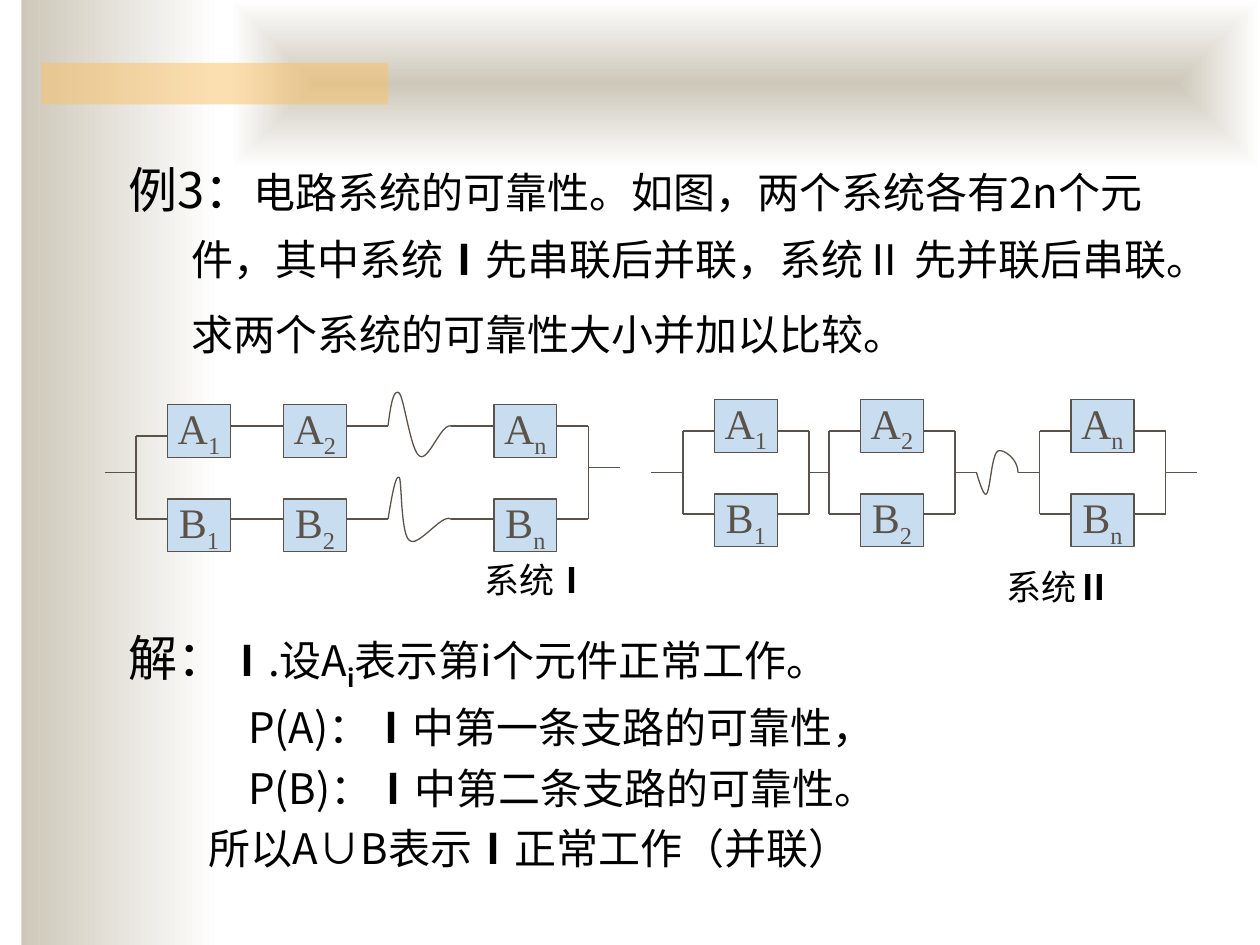
from lxml import etree
from pptx import Presentation
from pptx.dml.color import RGBColor
from pptx.enum.shapes import MSO_CONNECTOR as Connector, MSO_SHAPE as Preset
from pptx.enum.text import MSO_ANCHOR as Anchor, PP_ALIGN as Align
from pptx.oxml import parse_xml
from pptx.oxml.ns import nsdecls, qn
from pptx.util import Inches, Pt

SANS, SERIF = "Noto Sans CJK SC", "Times New Roman"
BLACK, INK, SKY, SAND, AMBER = "000000", "5B5249", "C9DDF1", "CEC8BA", "FAC164"
BOX_WIDTH, BOX_HEIGHT, ROW_GAP = 0.5, 0.42, 0.75


def color(hex_string):
    return RGBColor.from_string(hex_string)


def add_block(shapes, left, top, width, height):
    block = shapes.add_shape(Preset.RECTANGLE, Inches(left), Inches(top),
                             Inches(width), Inches(height))
    block.shadow.inherit = False
    block.line.fill.background()
    return block


def add_gradient(shapes, area, from_center=False):
    block = add_block(shapes, *area)
    block.fill.gradient()
    block.fill.gradient_angle = 0
    for stop, position, shade in zip(block.fill.gradient_stops, (0, 1), (SAND, "FFFFFF")):
        stop.position = position
        stop.color.rgb = color(shade)
    if from_center:
        gradient = block._element.spPr.find(qn("a:gradFill"))
        linear = gradient.find(qn("a:lin"))
        gradient.replace(linear, parse_xml(
            f'<a:path {nsdecls("a")} path="shape">'
            '<a:fillToRect l="50000" t="50000" r="50000" b="50000"/></a:path>'))


def add_bar(shapes, area):
    bar = add_block(shapes, *area)
    bar.fill.solid()
    bar.fill.fore_color.rgb = color(AMBER)
    tint = bar._element.spPr.find(qn("a:solidFill"))[0]
    etree.SubElement(tint, qn("a:alpha")).set("val", "50000")


def add_span(para, text, size, font=SANS, bold=False, sub=False, ink=BLACK):
    span = para.add_run()
    span.text = text
    span.font.size = Pt(size)
    span.font.name = font
    span.font.bold = bold
    span.font.color.rgb = color(ink)
    properties = span._r.get_or_add_rPr()
    etree.SubElement(properties, qn("a:ea")).set("typeface", SANS)
    if sub:
        properties.set("baseline", "-25000")


def add_text(shapes, area, paragraphs, wrap=True):
    """Each paragraph is (left indent, first-line indent, spacing, space before, spans)."""
    frame = shapes.add_textbox(*(Inches(value) for value in area)).text_frame
    frame.word_wrap = wrap
    for number, (left, first, spacing, before, spans) in enumerate(paragraphs):
        para = frame.add_paragraph() if number else frame.paragraphs[0]
        para.line_spacing = spacing
        para.space_before = Pt(before)
        if left:
            properties = para._p.get_or_add_pPr()
            properties.set("marL", str(Inches(left)))
            properties.set("indent", str(Inches(first)))
        for text, size, *style in spans:
            add_span(para, text, size, **(style[0] if style else {}))


def add_wire(shapes, x1, y1, x2, y2):
    wire = shapes.add_connector(Connector.STRAIGHT, Inches(x1), Inches(y1),
                                Inches(x2), Inches(y2))
    wire.line.color.rgb = color(INK)
    wire.line.width = Pt(0.75)
    etree.SubElement(wire._element.spPr, qn("a:effectLst"))


def add_component(shapes, letter, index, left, top):
    box = add_block(shapes, left, top, BOX_WIDTH, BOX_HEIGHT)
    box.fill.solid()
    box.fill.fore_color.rgb = color(SKY)
    box.line.color.rgb = color(INK)
    box.line.width = Pt(0.75)
    frame = box.text_frame
    frame.word_wrap = False
    frame.vertical_anchor = Anchor.MIDDLE
    para = frame.paragraphs[0]
    para.alignment = Align.CENTER
    add_span(para, letter, 24, SERIF, ink=INK)
    add_span(para, index, 24, SERIF, sub=True, ink=INK)


def add_pair(shapes, index, left, top):
    for row, letter in enumerate("AB"):
        add_component(shapes, letter, index, left, top + row * ROW_GAP)


def add_wave(shapes, start, curves, steps=12):
    """Draw cubic curves, each given by two control points and an end point."""
    points, origin = [], start
    for curve in curves:
        anchors = (origin, *curve)
        for step in range(1, steps + 1):
            t = step / steps
            weights = ((1 - t) ** 3, 3 * t * (1 - t) ** 2, 3 * t * t * (1 - t), t ** 3)
            points.append(tuple(Inches(sum(w * p[axis] for w, p in zip(weights, anchors)))
                                for axis in (0, 1)))
        origin = curve[-1]
    builder = shapes.build_freeform(Inches(start[0]), Inches(start[1]))
    builder.add_line_segments(points, close=False)
    wave = builder.convert_to_shape()
    wave.shadow.inherit = False
    wave.fill.background()
    wave.line.color.rgb = color(INK)
    wave.line.width = Pt(0.75)


def add_system_one(shapes):
    upper, lower = 3.38, 4.12
    # Input and output
    add_wire(shapes, 0.83, 3.75, 1.08, 3.75)
    add_wire(shapes, 1.08, 3.46, 1.08, lower)
    add_wire(shapes, 4.67, upper, 4.67, lower)
    add_wire(shapes, 4.67, 3.71, 4.92, 3.71)
    # Two series branches
    for y, entry in ((upper, 3.46), (lower, lower)):
        add_wire(shapes, 1.08, entry, 1.33, entry)
        for x1, x2 in ((1.83, 2.25), (2.75, 3.08), (3.58, 3.92), (4.42, 4.67)):
            add_wire(shapes, x1, y, x2, y)
    for index, left in (("1", 1.33), ("2", 2.25), ("n", 3.92)):
        add_pair(shapes, index, left, 3.21)
    # Omitted components
    add_wave(shapes, (3.08, upper), [
        ((3.1, 3.23), (3.12, 3.08), (3.17, 3.12)),
        ((3.21, 3.17), (3.26, 3.58), (3.33, 3.62)),
        ((3.4, 3.67), (3.5, 3.36), (3.58, upper))])
    add_wave(shapes, (3.08, lower), [
        ((3.11, 3.94), (3.14, 3.76), (3.17, 3.79)),
        ((3.19, 3.82), (3.18, 4.24), (3.25, 4.29)),
        ((3.32, 4.35), (3.51, 4.07), (3.58, lower))])


def add_system_two(shapes):
    upper, middle, lower = 3.42, 3.75, 4.08
    # Parallel cells
    for index, left in (("1", 5.42), ("2", 6.58), ("n", 8.25)):
        for y in (upper, lower):
            for x in (left, left + 0.75):
                add_wire(shapes, x, y, x + 0.25, y)
        for x in (left, left + 1):
            add_wire(shapes, x, upper, x, lower)
        add_pair(shapes, index, left + 0.25, 3.17)
    # Links between the cells
    for x1, x2 in ((5.17, 5.42), (6.42, 6.58), (7.58, 7.75), (8.08, 8.25), (9.25, 9.5)):
        add_wire(shapes, x1, middle, x2, middle)
    add_wave(shapes, (7.75, middle), [
        ((7.78, 3.85), (7.81, 3.94), (7.83, 3.92)),
        ((7.86, 3.89), (7.87, 3.61), (7.92, 3.58)),
        ((7.96, 3.56), (8.08, 3.64), (8.08, middle))])


def main():
    deck = Presentation()
    deck.slide_width, deck.slide_height = Inches(10), Inches(7.5)
    page = deck.slides.add_slide(deck.slide_layouts[6])
    shapes = page.shapes
    bold = {"bold": True}

    # Background decoration
    add_gradient(shapes, (0.17, 0, 1.58, 7.5))
    add_gradient(shapes, (1.83, 0, 8.17, 1.33), from_center=True)
    add_bar(shapes, (0.33, 0.5, 2.75, 0.33))

    # Problem
    add_text(shapes, (0.92, 1.08, 8.5, 2.17), [(0.5, -0.5, 1.3, 5.6, [
        ("例3：", 28), ("电路系统的可靠性。如图，两个系统各有2n个元件，其中系统", 24),
        ("Ⅰ", 24, bold),
        ("先串联后并联，系统Ⅱ 先并联后串联。求两个系统的可靠性大小并加以比较。", 24),
        (" ", 28)])])

    # Circuits and their labels
    add_system_one(shapes.add_group_shape().shapes)
    add_system_two(shapes.add_group_shape().shapes)
    for area, numeral, end_size in (((3.75, 4.33, 1.2, 0.5), "Ⅰ", 24),
                                    ((7.89, 4.33, 1.23, 0.57), "Ⅱ", 28)):
        add_text(shapes, area, [(0, 0, 1.0, 0, [
            ("系统", 20), (numeral, 20, bold), (" ", end_size)])], wrap=False)

    # Solution
    add_text(shapes, (0.92, 4.83, 6.75, 2.33), [
        (0.5, -0.5, 1.2, 5.6, [
            ("解：", 28, {"font": SERIF}), ("Ⅰ", 24, bold), (".设A", 24),
            ("i", 24, {"bold": True, "sub": True}), ("表示第i个元件正常工作。", 24)]),
        (0.95, 0, 1.2, 0, [
            ("P(A)：", 24), ("Ⅰ", 24, bold), ("中第一条支路的可靠性，", 24)]),
        (0.95, 0, 1.2, 0, [
            ("P(B)：", 24), ("Ⅰ", 24, bold), ("中第二条支路的可靠性。", 24)]),
        (0.64, 0, 1.2, 0, [
            ("所以A∪B表示", 24), ("Ⅰ", 24, bold), ("正常工作（并联）", 24)])])

    deck.save("out.pptx")


if __name__ == "__main__":
    main()
